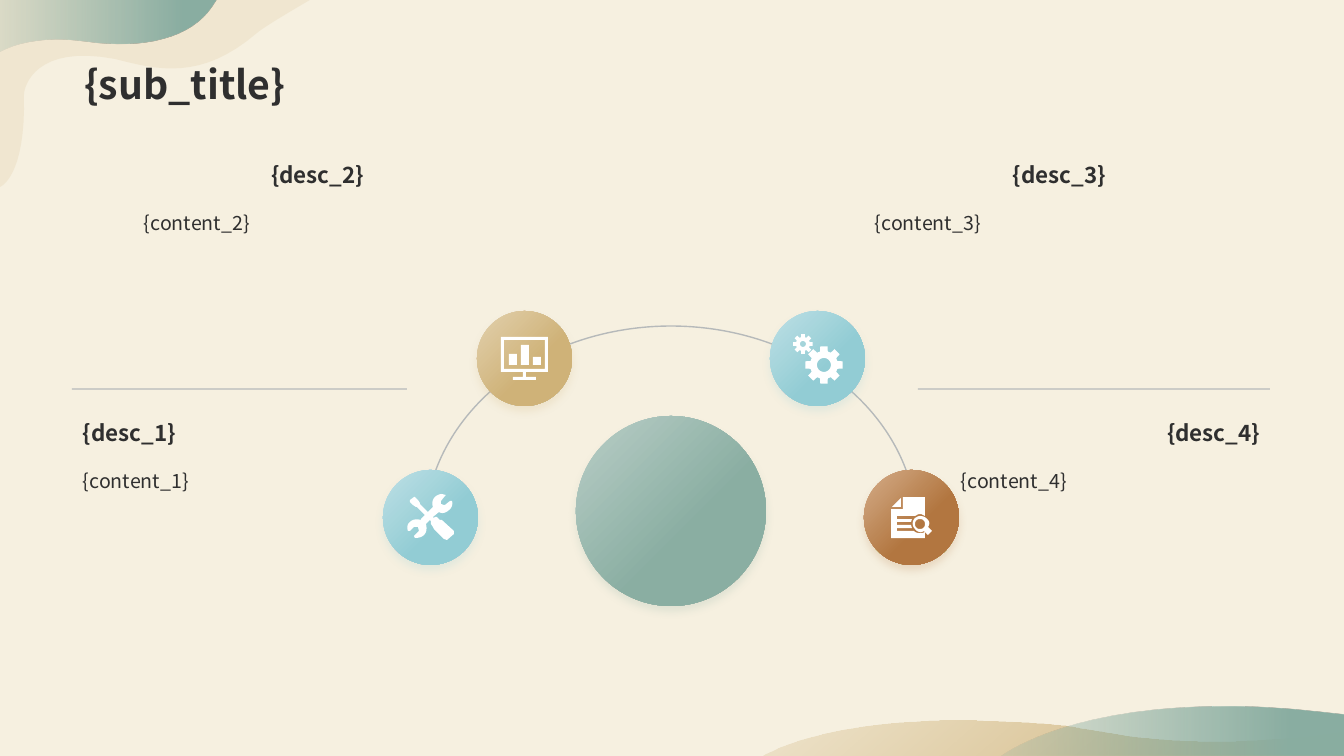
"""Build a template slide with four icon discs along an arc and four text blocks."""
from math import cos, radians, sin

from lxml import etree
from pptx import Presentation
from pptx.dml.color import RGBColor
from pptx.enum.shapes import MSO_CONNECTOR, MSO_SHAPE
from pptx.enum.text import MSO_ANCHOR, MSO_AUTO_SIZE, PP_ALIGN
from pptx.oxml.ns import qn
from pptx.util import Pt

PX = 12192000 / 1344
LEFT, CENTER, RIGHT = PP_ALIGN.LEFT, PP_ALIGN.CENTER, PP_ALIGN.RIGHT
TOP, BOTTOM = MSO_ANCHOR.TOP, MSO_ANCHOR.BOTTOM
NO_AUTOFIT, GROW = MSO_AUTO_SIZE.NONE, MSO_AUTO_SIZE.SHAPE_TO_FIT_TEXT
OVAL, ARC, STRAIGHT = MSO_SHAPE.OVAL, MSO_SHAPE.ARC, MSO_CONNECTOR.STRAIGHT
FONT = "Noto Sans CJK SC"

CREAM = RGBColor(0xF6, 0xF0, 0xE0)
INK = RGBColor(0x2F, 0x2F, 0x2F)
SLATE = RGBColor(0x77, 0x84, 0x95)
WHITE = RGBColor(0xFF, 0xFF, 0xFF)
SAGE, PALE_SAGE = RGBColor(0x8A, 0xAE, 0xA2), RGBColor(0xB9, 0xCE, 0xC7)
AQUA, PALE_AQUA = RGBColor(0x92, 0xCC, 0xD4), RGBColor(0xBE, 0xE0, 0xE5)
GOLD, PALE_GOLD = RGBColor(0xCF, 0xB2, 0x78), RGBColor(0xE2, 0xD1, 0xAE)
BROWN, PALE_BROWN = RGBColor(0xB2, 0x76, 0x40), RGBColor(0xD4, 0xAD, 0x89)


def paint(shape, stops, angle=0):
    """Fill with one colour or a gradient; each stop is position, colour, opacity."""
    shape.shadow.inherit = False
    shape.line.fill.background()
    if len(stops) == 1:
        shape.fill.solid()
        shape.fill.fore_color.rgb = stops[0][1]
    else:
        shape.fill.gradient()
        shape.fill.gradient_angle = (360 - angle) % 360
        for gradient_stop, (position, color, _) in zip(shape.fill.gradient_stops, stops):
            gradient_stop.position = position
            gradient_stop.color.rgb = color
    colors = list(shape._element.spPr.iter(qn("a:srgbClr")))
    for color, (_, _, opacity) in zip(colors, stops):
        if opacity < 100:
            etree.SubElement(color, qn("a:alpha"), val=str(opacity * 1000))


def draw_outline(contours):
    """Draw closed contours of line points (x, y) and cubic curves (x1, y1, x2, y2, x, y)."""
    builder = None
    for contour in contours:
        points = [contour[0]]
        for segment in contour[1:]:
            if len(segment) == 2:
                points.append(segment)
                continue
            controls = [points[-1], segment[:2], segment[2:4], segment[4:]]
            for step in range(1, 17):
                t = step / 16
                weights = ((1 - t) ** 3, 3 * t * (1 - t) ** 2, 3 * t * t * (1 - t), t ** 3)
                points.append([sum(w * c[axis] for w, c in zip(weights, controls))
                               for axis in (0, 1)])
        points = [(round(x * PX), round(y * PX)) for x, y in points]
        if builder is None:
            builder = slide.shapes.build_freeform(*points[0])
        else:
            builder.move_to(*points[0])
        builder.add_line_segments(points[1:], close=True)
    return builder.convert_to_shape()


presentation = Presentation()
presentation.slide_width, presentation.slide_height = round(1344 * PX), round(756 * PX)
slide = presentation.slides.add_slide(presentation.slide_layouts[5])
slide.background.fill.solid()
slide.background.fill.fore_color.rgb = CREAM

waves = [
    ([(964, 721), (997, 721, 1046, 723, 1079, 728), (1112, 733, 1189, 752, 1330, 734),
      (1344, 732), (1344, 756), (763, 756), (771, 751, 830, 720, 964, 721)],
     [(0, GOLD, 20), (1, GOLD, 100)], 50),
    ([(1229, 707), (1257, 707, 1289, 709, 1324, 713), (1344, 715), (1344, 756),
      (1001, 756), (1011, 749, 1077, 706, 1229, 707)],
     [(0, SAGE, 20), (0.85, SAGE, 100)], 0),
    ([(0, 187), (0, 187, 26, 178, 24, 95), (24, 86, 36, 44, 115, 59),
      (158, 70, 201, 81, 257, 33), (265, 26, 310, 0, 310, 0), (0, 0)],
     [(0, GOLD, 15)], 0),
    ([(0, 0), (217, 0), (213, 6), (192, 38, 144, 49, 86, 41), (42, 35, 14, 44, 1, 51),
      (0, 52)],
     [(0, SAGE, 20), (0.85, SAGE, 100)], 0),
]
for contour, stops, angle in waves:
    paint(draw_outline([contour]), stops, angle)

arc = slide.shapes.add_shape(ARC, *[round(v * PX) for v in (425, 326, 492, 408)])
arc.adjustments[0], arc.adjustments[1] = 108, 0.206
arc.fill.background()
rules = [slide.shapes.add_connector(STRAIGHT, *[round(v * PX) for v in (start, 389, end, 389)])
         for start, end in ((72, 407), (918, 1270))]
for thin_line in (arc, *rules):
    thin_line.line.color.rgb = SLATE
    thin_line.line.width = Pt(1)
    properties = thin_line._element.spPr
    for color in properties.iter(qn("a:srgbClr")):
        etree.SubElement(color, qn("a:alpha"), val="50000")
    etree.SubElement(properties, qn("a:effectLst"))

discs = [
    (576, 416, 190, PALE_SAGE, SAGE),
    (383, 470, 95, PALE_AQUA, AQUA),
    (477, 311, 95, PALE_GOLD, GOLD),
    (770, 311, 95, PALE_AQUA, AQUA),
    (864, 470, 95, PALE_BROWN, BROWN),
]
for left, top, size, pale, strong in discs:
    disc = slide.shapes.add_shape(OVAL, *[round(v * PX) for v in (left, top, size, size)])
    paint(disc, [(0, pale, 100), (0.6, strong, 100)], 45)
    effects = disc._element.spPr.find(qn("a:effectLst"))
    shadow = etree.SubElement(effects, qn("a:outerShdw"), blurRad=str(Pt(6)),
                              dist=str(Pt(4)), dir="5400000", algn="t", rotWithShape="0")
    shadow_color = etree.SubElement(shadow, qn("a:srgbClr"), val=str(strong))
    etree.SubElement(shadow_color, qn("a:alpha"), val="20000")

tools = [[
    (454, 531), (442, 520), (440, 520), (437, 517), (435, 517), (434, 518), (433, 517),
    (439, 512), (442, 514, 446, 513, 449, 510), (452, 508, 453, 504, 452, 501), (450, 501),
    (445, 505), (444, 505), (441, 504), (441, 501), (445, 496), (446, 495), (442, 494),
    (440, 494, 437, 495, 435, 497), (432, 500, 432, 504, 433, 507), (428, 512), (420, 504),
    (420, 503), (418, 500), (415, 497), (414, 497), (410, 500), (410, 502), (413, 505),
    (416, 507), (417, 507), (425, 515), (421, 519), (421, 520),
    (417, 519, 413, 519, 410, 522), (407, 524, 407, 528, 408, 531), (410, 531), (414, 527),
    (415, 527), (418, 527), (419, 531), (414, 536), (415, 538),
    (419, 538, 422, 537, 424, 535), (427, 532, 427, 528, 426, 524), (430, 520), (431, 521),
    (431, 524), (433, 527), (434, 529), (444, 539), (447, 540), (454, 534),
]]

monitor = [[(501, 337), (548, 337), (548, 372), (526, 372), (526, 377), (536, 377),
            (536, 380), (513, 380), (513, 377), (523, 377), (523, 372), (501, 372)]]
for left, top, right, bottom in ((504, 340, 545, 369), (509, 354, 517, 365),
                                 (521, 345, 529, 365), (533, 357, 541, 365)):
    monitor.append([(left, top), (right, top), (right, bottom), (left, bottom)])

gears = []
for x, y, tip, root, hole in ((824, 365, 19, 14, 7), (803, 344, 10, 7, 3)):
    teeth = [(radius, tooth * 45 + offset) for tooth in range(8)
             for radius, offset in ((root, -16), (tip, -11), (tip, 11), (root, 16))]
    bore = [(hole, step * 15) for step in range(24)]
    for ring in (teeth, bore):
        gears.append([(x + radius * cos(radians(turn)), y + radius * sin(radians(turn)))
                      for radius, turn in ring])

report = [
    [(920, 519), (923, 519, 925, 521, 925, 524), (925, 527, 923, 529, 920, 529),
     (917, 529, 915, 527, 915, 524), (915, 521, 917, 519, 920, 519)],
    [(920, 516), (923, 516, 925, 517, 926, 518), (930, 521, 930, 524, 928, 527), (932, 531),
     (928, 535), (924, 531), (921, 533, 917, 532, 915, 529), (912, 526, 912, 521, 915, 518),
     (917, 517, 918, 516, 920, 516)],
    [(901, 498), (901, 507), (892, 507)],
    [(903, 497), (925, 497), (925, 516), (923, 515, 922, 514, 920, 514),
     (918, 514, 917, 515, 915, 516), (897, 516), (897, 519), (912, 519), (911, 522),
     (897, 522), (897, 525), (911, 525), (912, 528), (897, 528), (897, 531), (914, 531),
     (916, 533, 918, 533, 920, 533), (922, 533, 923, 533, 925, 532), (925, 538), (891, 538),
     (891, 509), (903, 509)],
]
for icon in (tools, monitor, gears, report):
    paint(draw_outline(icon), [(0, WHITE, 100)])

title = slide.shapes.title
slide.shapes._spTree.append(title._element)
texts = [(title, "{sub_title}", (74, 0, 1196, 113), 28, True, LEFT, BOTTOM, 0.9, NO_AUTOFIT)]
blocks = [(73, 414, 311, LEFT), (134, 156, 367, CENTER),
          (865, 156, 389, CENTER), (951, 414, 319, RIGHT)]
for number, (left, top, width, alignment) in enumerate(blocks, 1):
    heading_frame, content_frame = (left, top, width, 37), (left, top + 45, width, 38)
    texts.append((slide.shapes.add_textbox(0, 0, 0, 0), f"{{desc_{number}}}", heading_frame,
                  16, True, alignment, BOTTOM, 1.0, GROW))
    texts.append((slide.shapes.add_textbox(0, 0, 0, 0), f"{{content_{number}}}",
                  content_frame, 14, False, LEFT, TOP, 1.2, GROW))
for box, text, frame, size, bold, alignment, anchor, spacing, autofit in texts:
    box.left, box.top, box.width, box.height = [round(v * PX) for v in frame]
    box.text_frame.text = text
    box.text_frame.word_wrap = True
    box.text_frame.auto_size = autofit
    box.text_frame.vertical_anchor = anchor
    paragraph = box.text_frame.paragraphs[0]
    paragraph.alignment = alignment
    paragraph.line_spacing = spacing
    paragraph.font.name = FONT
    paragraph.font.size = Pt(size)
    paragraph.font.bold = bold
    paragraph.font.color.rgb = INK

presentation.save("out.pptx")
